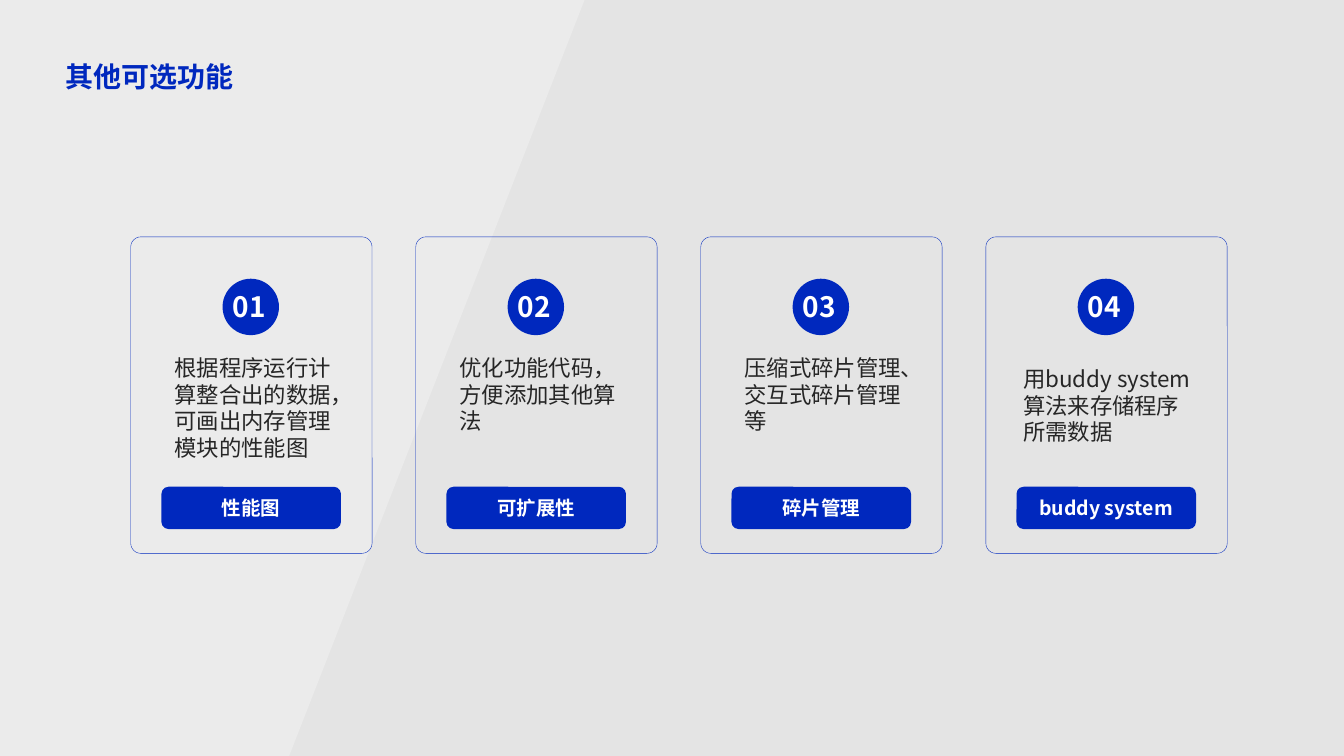
from dataclasses import dataclass

from lxml import etree
from pptx import Presentation
from pptx.dml.color import RGBColor
from pptx.enum import shapes, text
from pptx.oxml import ns
from pptx.shapes.autoshape import Shape
from pptx.slide import Slide
from pptx.text.text import TextFrame
from pptx.util import Pt


@dataclass(frozen=True)
class Theme:
    font: str = "Noto Sans CJK SC"
    blue: RGBColor = RGBColor(0x00, 0x28, 0xBE)
    ink: RGBColor = RGBColor(0x26, 0x26, 0x26)
    white: RGBColor = RGBColor(0xFF, 0xFF, 0xFF)
    background: RGBColor = RGBColor(0xE4, 0xE4, 0xE4)
    band: RGBColor = RGBColor(0xF1, 0xF1, 0xF1)
    band_opacity: int = 54
    heading_size: float = 20
    body_size: float = 16
    label_size: float = 13.9


@dataclass(frozen=True)
class Box:
    left: float
    top: float
    width: float
    height: float

    def lengths(self) -> tuple[Pt, Pt, Pt, Pt]:
        return Pt(self.left), Pt(self.top), Pt(self.width), Pt(self.height)


@dataclass(frozen=True)
class Feature:
    number: str
    description: str
    label: str
    description_dx: float = 21.9
    description_top: float = 247.7
    description_width: float = 137.5


THEME = Theme()
CARD_LEFT, CARD_PITCH = 93.4, 203.6
FEATURES = (
    Feature("01", "根据程序运行计算整合出的数据，可画出内存管理模块的性能图", "性能图"),
    Feature("02", "优化功能代码，方便添加其他算法", "可扩展性"),
    Feature("03", "压缩式碎片管理、交互式碎片管理等", "碎片管理"),
    Feature("04", "用buddy system算法来存储程序所需数据", "buddy system", 17.2, 255.6, 144.7),
)


def write(frame: TextFrame, words: str, size: float, color: RGBColor, bold: bool = False,
          align: text.PP_ALIGN = text.PP_ALIGN.LEFT) -> None:
    frame.word_wrap = True
    paragraph = frame.paragraphs[0]
    paragraph.alignment = align
    run = paragraph.add_run()
    run.text = words
    font = run.font
    font.name, font.size, font.bold = THEME.font, Pt(size), bold
    font.color.rgb = color
    east_asian = etree.SubElement(font._element, ns.qn("a:ea"))
    east_asian.set("typeface", THEME.font)


def add_filled(slide: Slide, kind: shapes.MSO_SHAPE, box: Box) -> Shape:
    shape = slide.shapes.add_shape(kind, *box.lengths())
    shape.shadow.inherit = False
    shape.fill.solid()
    shape.fill.fore_color.rgb = THEME.blue
    shape.line.fill.background()
    return shape


def add_band(slide: Slide) -> Shape:
    """Add the translucent slanted area on the left."""
    builder = slide.shapes.build_freeform(Pt(0), Pt(0))
    builder.add_line_segments([(Pt(417.6), Pt(0)), (Pt(206.6), Pt(540)), (Pt(0), Pt(540))])
    band = builder.convert_to_shape()
    band.shadow.inherit = False
    band.line.fill.background()
    band.fill.solid()
    band.fill.fore_color.rgb = THEME.band
    color = band.element.spPr.find(".//" + ns.qn("a:srgbClr"))
    etree.SubElement(color, ns.qn("a:alpha")).set("val", str(THEME.band_opacity * 1000))
    return band


def add_title(slide: Slide, words: str) -> None:
    title = slide.shapes.title
    title.left, title.top, title.width, title.height = Box(39.6, 38.9, 139.7, 31.7).lengths()
    frame = title.text_frame
    write(frame, words, THEME.heading_size, THEME.blue, bold=True)
    frame.auto_size = text.MSO_AUTO_SIZE.NONE
    frame.vertical_anchor = text.MSO_ANCHOR.TOP


def add_card(slide: Slide, feature: Feature, left: float) -> None:
    outline = slide.shapes.add_shape(
        shapes.MSO_SHAPE.ROUNDED_RECTANGLE, *Box(left, 169.2, 172.4, 226.1).lengths())
    outline.adjustments[0] = 0.042
    outline.shadow.inherit = False
    outline.fill.background()
    outline.line.color.rgb = THEME.blue
    outline.line.width = Pt(0.25)

    label = add_filled(slide, shapes.MSO_SHAPE.ROUNDED_RECTANGLE,
                       Box(left + 21.9, 347.7, 128.2, 30.2))
    label.text_frame.vertical_anchor = text.MSO_ANCHOR.MIDDLE
    write(label.text_frame, feature.label, THEME.label_size, THEME.white,
          bold=True, align=text.PP_ALIGN.CENTER)

    description = slide.shapes.add_textbox(
        *Box(left + feature.description_dx, feature.description_top,
             feature.description_width, 75.6).lengths()).text_frame
    description.margin_left = description.margin_right = Pt(9.4)
    description.margin_top = description.margin_bottom = Pt(5)
    write(description, feature.description, THEME.body_size, THEME.ink)

    add_filled(slide, shapes.MSO_SHAPE.OVAL, Box(left + 65.6, 199.1, 40.3, 40.3))
    number = slide.shapes.add_textbox(*Box(left + 65.6, 203.5, 40.3, 31.5).lengths())
    write(number.text_frame, feature.number, THEME.heading_size, THEME.white, bold=True)


def main() -> None:
    deck = Presentation()
    deck.slide_width, deck.slide_height = Pt(960), Pt(540)
    slide = deck.slides.add_slide(deck.slide_layouts[5])
    slide.background.fill.solid()
    slide.background.fill.fore_color.rgb = THEME.background
    add_title(slide, "其他可选功能")
    slide.shapes.title.element.addprevious(add_band(slide).element)
    for index, feature in enumerate(FEATURES):
        add_card(slide, feature, CARD_LEFT + index * CARD_PITCH)
    deck.save("out.pptx")


if __name__ == "__main__":
    main()
